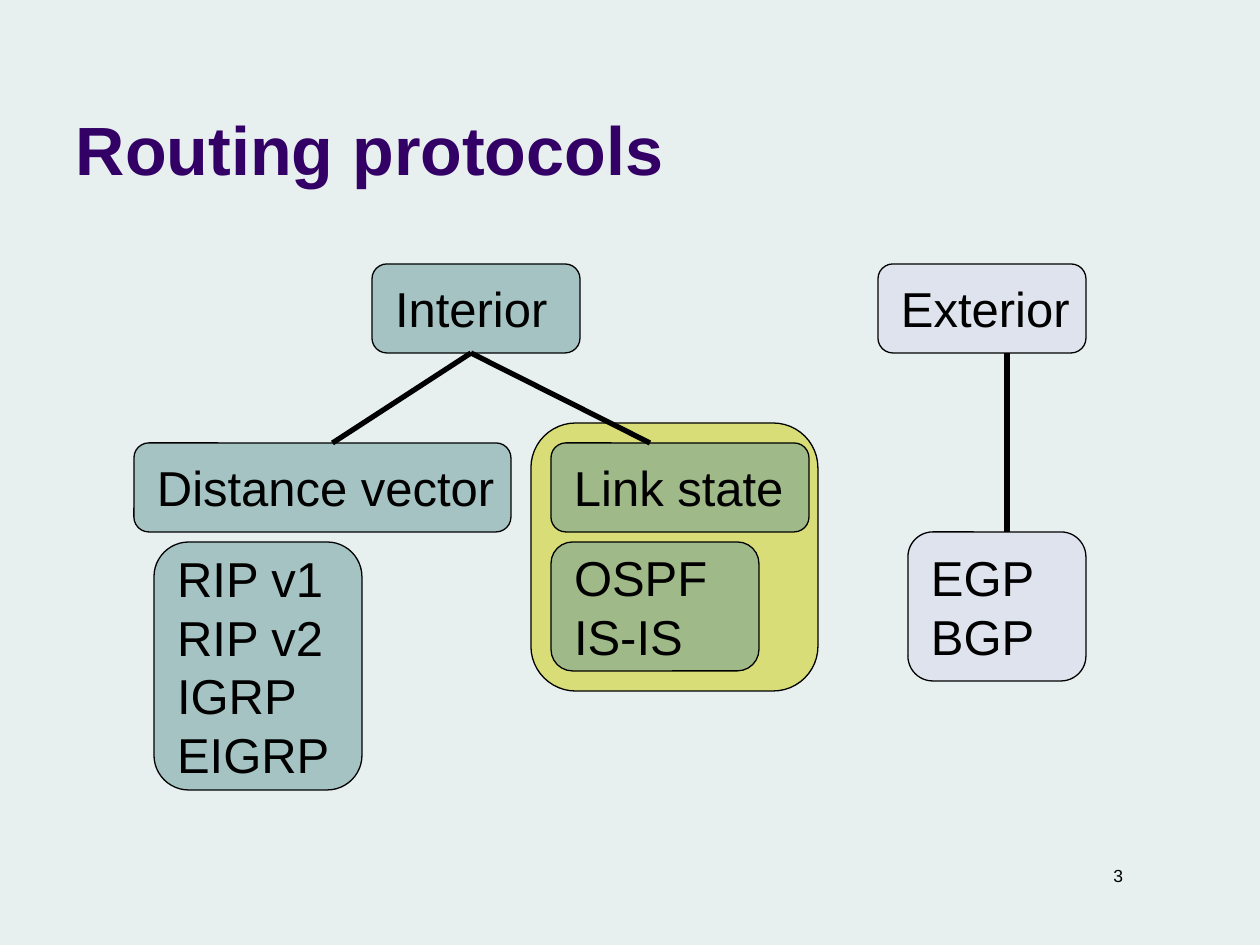
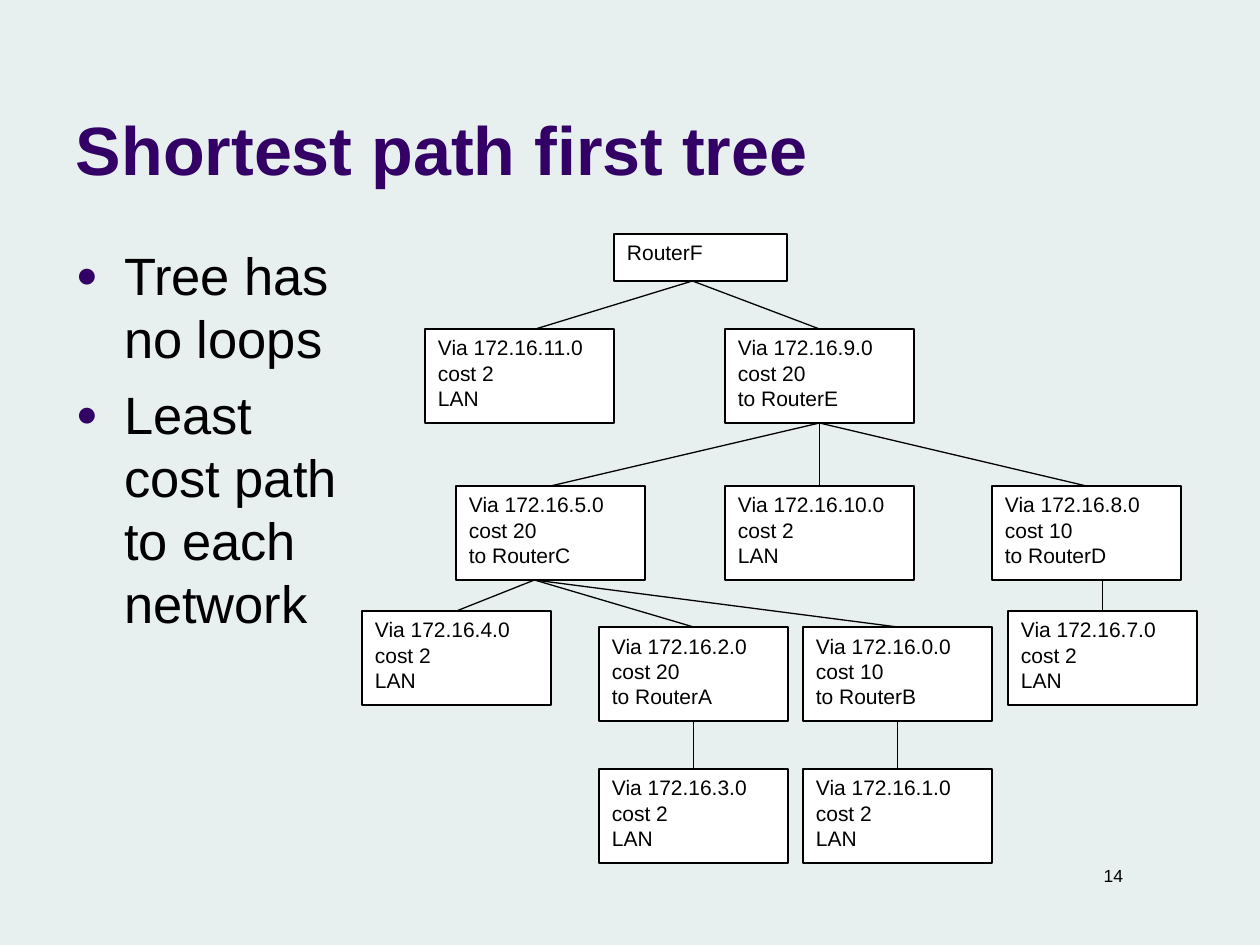
from dataclasses import dataclass

from lxml import etree
from pptx import Presentation
from pptx.dml.color import RGBColor
from pptx.enum.shapes import MSO_CONNECTOR, MSO_SHAPE
from pptx.enum.text import MSO_ANCHOR, MSO_AUTO_SIZE, PP_ALIGN
from pptx.oxml.ns import qn
from pptx.util import Emu, Pt

STRAIGHT = MSO_CONNECTOR.STRAIGHT
RECTANGLE, ROUNDED = MSO_SHAPE.RECTANGLE, MSO_SHAPE.ROUNDED_RECTANGLE
LEFT, RIGHT = PP_ALIGN.LEFT, PP_ALIGN.RIGHT
TOP, MIDDLE, BOTTOM = MSO_ANCHOR.TOP, MSO_ANCHOR.MIDDLE, MSO_ANCHOR.BOTTOM
NO_AUTOFIT = MSO_AUTO_SIZE.NONE
BOTTOM_SITE, TOP_SITE = 2, 0
PX_PER_INCH = 126


@dataclass(frozen=True)
class Theme:
    font: str = "Arial"
    background: str = "E7EFEF"
    title: str = "330066"
    ink: str = "000000"
    interior: str = "669999"
    exterior: str = "D8D8EC"
    highlight: str = "CCCC00"
    node: str = "FFFFFF"
    title_size: int = 39
    bullet_size: int = 30
    protocol_size: int = 28
    node_size: int = 12
    number_size: int = 10
    leading: float = 1.2
    thin: float = 0.75
    thick: float = 3
    opacity: int = 50


THEME = Theme()

# ---- Content: routing protocols ----
HIGHLIGHT_BOX = (531, 423, 287, 268)
# name: (box, colour, lines)
PROTOCOLS = {
    "interior": ((372, 264, 208, 89), THEME.interior, ["Interior"]),
    "exterior": ((878, 264, 208, 89), THEME.exterior, ["Exterior"]),
    "distance": ((134, 443, 377, 89), THEME.interior, ["Distance vector"]),
    "link": ((551, 443, 258, 89), THEME.interior, ["Link state"]),
    "distance list": ((154, 542, 208, 248), THEME.interior,
                      ["RIP v1", "RIP v2", "IGRP", "EIGRP"]),
    "link list": ((551, 542, 208, 129), THEME.interior, ["OSPF", "IS-IS"]),
    "exterior list": ((908, 532, 178, 149), THEME.exterior, ["EGP", "BGP"]),
}
# parent, child, shift from the middle at the parent and at the child
PROTOCOL_LINKS = [
    ("exterior", "exterior list", 25, 10),
    ("interior", "distance", -5, 10),
    ("interior", "link", -5, -30),
]

# ---- Content: shortest path first tree ----
TREE_POINTS = ["Tree has no loops", "Least cost path to each network"]
ROOT = "RouterF"
ROOT_BOX = (614, 234, 173, 47)
NODE_WIDTH, NODE_HEIGHT = 189, 94
# network: (left, top, cost, target)
NETWORKS = {
    "172.16.11.0": (425, 329, 2, "LAN"),
    "172.16.9.0": (725, 329, 20, "to RouterE"),
    "172.16.5.0": (456, 486, 20, "to RouterC"),
    "172.16.10.0": (725, 486, 2, "LAN"),
    "172.16.8.0": (992, 486, 10, "to RouterD"),
    "172.16.4.0": (362, 611, 2, "LAN"),
    "172.16.2.0": (599, 627, 20, "to RouterA"),
    "172.16.0.0": (803, 627, 10, "to RouterB"),
    "172.16.7.0": (1008, 611, 2, "LAN"),
    "172.16.3.0": (599, 769, 2, "LAN"),
    "172.16.1.0": (803, 769, 2, "LAN"),
}
TREE_LINKS = [
    (ROOT, "172.16.11.0", -8, 16),
    (ROOT, "172.16.9.0", -8, 0),
    ("172.16.9.0", "172.16.5.0", 0, 0),
    ("172.16.9.0", "172.16.10.0", 0, 0),
    ("172.16.9.0", "172.16.8.0", 0, 0),
    ("172.16.5.0", "172.16.4.0", -16, 0),
    ("172.16.5.0", "172.16.2.0", -16, 0),
    ("172.16.5.0", "172.16.0.0", -16, 0),
    ("172.16.8.0", "172.16.7.0", 16, 0),
    ("172.16.2.0", "172.16.3.0", 0, 0),
    ("172.16.0.0", "172.16.1.0", 0, 0),
]

# ---- Shared places ----
TITLE_BOX = (63, 16, 1040, 179)
BODY_BOX = (63, 237, 290, 607)
NUMBER_BOX = (878, 859, 258, 34)
INSET_X, INSET_Y = 13, 6
CORNER = 0.167
BULLET_INDENT = 48


def px(length):
    return Emu(round(length * 914400 / PX_PER_INCH))


def place(box):
    return [px(length) for length in box]


def color(code):
    return RGBColor.from_string(code)


def style_text(frame, size, code=THEME.ink, bold=False, align=LEFT,
               anchor=TOP, inset=(INSET_X, INSET_Y), wrap=True):
    frame.auto_size = NO_AUTOFIT
    frame.word_wrap = wrap
    frame.vertical_anchor = anchor
    frame.margin_left = frame.margin_right = px(inset[0])
    frame.margin_top = frame.margin_bottom = px(inset[1])
    for paragraph in frame.paragraphs:
        paragraph.alignment = align
        paragraph.line_spacing = Pt(size * THEME.leading)
        for run in paragraph.runs:
            run.font.name = THEME.font
            run.font.size = Pt(size)
            run.font.bold = bold
            run.font.color.rgb = color(code)


def add_box(slide, preset, box, fill, opacity=100):
    shape = slide.shapes.add_shape(preset, *place(box))
    shape.shadow.inherit = False
    shape.fill.solid()
    shape.fill.fore_color.rgb = color(fill)
    if opacity < 100:
        fill_color = shape._element.spPr.find(qn("a:solidFill"))[0]
        etree.SubElement(fill_color, qn("a:alpha"), val=str(opacity * 1000))
    shape.line.color.rgb = color(THEME.ink)
    shape.line.width = Pt(THEME.thin)
    if preset == ROUNDED:
        shape.adjustments[0] = CORNER
    return shape


def add_links(slide, boxes, links, width):
    for parent_name, child_name, parent_shift, child_shift in links:
        parent, child = boxes[parent_name], boxes[child_name]
        link = slide.shapes.add_connector(
            STRAIGHT,
            parent.left + parent.width // 2 + px(parent_shift),
            parent.top + parent.height,
            child.left + child.width // 2 + px(child_shift),
            child.top)
        if not parent_shift:
            link.begin_connect(parent, BOTTOM_SITE)
        if not child_shift:
            link.end_connect(child, TOP_SITE)
        link.line.color.rgb = color(THEME.ink)
        link.line.width = Pt(width)
        etree.SubElement(link._element.spPr, qn("a:effectLst"))


def add_bullet(paragraph):
    properties = paragraph._p.get_or_add_pPr()
    properties.set("marL", str(px(BULLET_INDENT)))
    properties.set("indent", str(-px(BULLET_INDENT)))
    bullet_color = etree.SubElement(properties, qn("a:buClr"))
    etree.SubElement(bullet_color, qn("a:srgbClr"), val=THEME.title)
    etree.SubElement(properties, qn("a:buSzPct"), val="70000")
    etree.SubElement(properties, qn("a:buFont"), typeface=THEME.font)
    etree.SubElement(properties, qn("a:buChar"), char="●")


def add_slide(prs, layout, heading, number):
    slide = prs.slides.add_slide(prs.slide_layouts.get_by_name(layout))
    title = slide.shapes.title
    title.left, title.top, title.width, title.height = place(TITLE_BOX)
    title.text_frame.text = heading
    style_text(title.text_frame, THEME.title_size, THEME.title,
               bold=True, anchor=BOTTOM)
    title.text_frame.paragraphs[0].line_spacing = 1.0
    page = slide.shapes.add_textbox(*place(NUMBER_BOX))
    page.text_frame.text = str(number)
    style_text(page.text_frame, THEME.number_size, align=RIGHT)
    return slide


def build_protocols(prs):
    slide = add_slide(prs, "Title Only", "Routing protocols", 3)
    add_box(slide, ROUNDED, HIGHLIGHT_BOX, THEME.highlight, THEME.opacity)
    boxes = {}
    for name, (box, fill, lines) in PROTOCOLS.items():
        shape = add_box(slide, ROUNDED, box, fill, THEME.opacity)
        shape.text_frame.paragraphs[0].text = "\v".join(lines)
        # The rounded corner already pushes the text in by 0.29 of its radius
        corner_inset = 0.29 * CORNER * min(box[2:])
        style_text(shape.text_frame, THEME.protocol_size, anchor=MIDDLE,
                   inset=(10 + INSET_X - corner_inset, 0), wrap=False)
        shape.text_frame.margin_right = 0
        boxes[name] = shape
    add_links(slide, boxes, PROTOCOL_LINKS, THEME.thick)


def build_tree(prs):
    slide = add_slide(prs, "Title and Content", "Shortest path first tree", 14)

    # Points beside the tree
    body = slide.placeholders[1]
    body.left, body.top, body.width, body.height = place(BODY_BOX)
    body.text_frame.text = "\n".join(TREE_POINTS)
    for index, paragraph in enumerate(body.text_frame.paragraphs):
        add_bullet(paragraph)
        paragraph.space_before = Pt(7.5 if index else 0)
    style_text(body.text_frame, THEME.bullet_size)

    # Tree of networks
    nodes = {ROOT: (ROOT_BOX, [ROOT])}
    for network, (left, top, cost, target) in NETWORKS.items():
        nodes[network] = ((left, top, NODE_WIDTH, NODE_HEIGHT),
                          [f"Via {network}", f"cost {cost}", target])
    boxes = {}
    for name, (box, lines) in nodes.items():
        boxes[name] = add_box(slide, RECTANGLE, box, THEME.node)
        boxes[name].text_frame.paragraphs[0].text = "\v".join(lines)
        style_text(boxes[name].text_frame, THEME.node_size)
    add_links(slide, boxes, TREE_LINKS, THEME.thin)


def main():
    prs = Presentation()
    prs.slide_width, prs.slide_height = px(1260), px(945)
    background = prs.slide_master.background.fill
    background.solid()
    background.fore_color.rgb = color(THEME.background)
    build_protocols(prs)
    build_tree(prs)
    prs.save("out.pptx")


if __name__ == "__main__":
    main()
